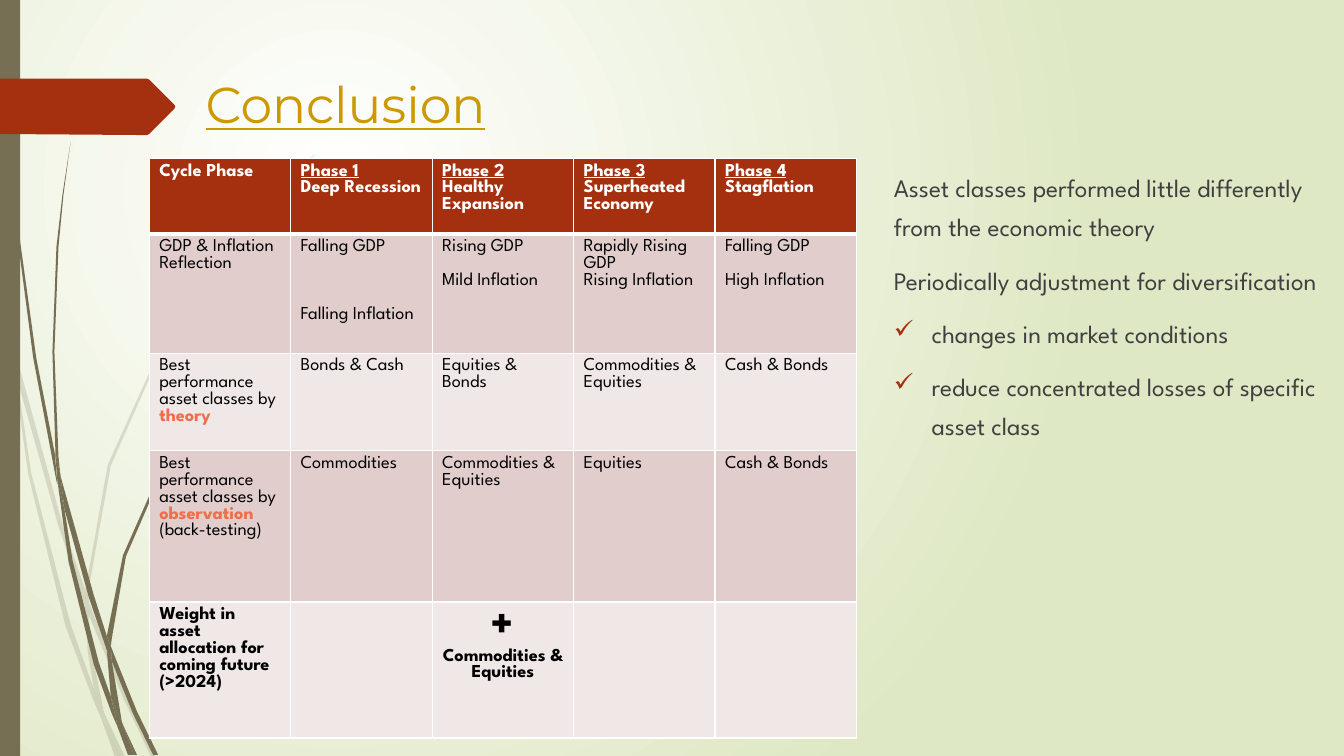
from lxml import etree
from pptx import Presentation
from pptx.dml.color import RGBColor
from pptx.enum.shapes import MSO_SHAPE as SHAPE
from pptx.enum.text import MSO_AUTO_SIZE as FIT, PP_ALIGN as ALIGN
from pptx.oxml.ns import qn
from pptx.util import Cm, Pt

HUNDREDTH_INCH = Cm(2.54) / 100
BROWN, RUST, WHITE, BLACK = "766F54", "A53010", "FFFFFF", "000000"
BODY_FONT = "League Spartan"

PALE_STEMS = """
11,350 9,322 0,282 0,299 10,344
58,522 84,599 85,586 62,520 14,345 17,376
92,607 88,596 88,610 123,694 150,751 155,751 127,692
119,751 124,751 105,711
93,683 70,619 31,469 17,376 11,350 28,470 65,621 92,693 101,714 99,707
84,599 87,646 93,683 96,692 105,711 103,706 91,646 88,610 88,608
88,584 110,462 160,349 229,245 268,198 290,175 312,154 312,153 289,175 268,197 228,244 158,348 107,461 85,584 85,586 88,596
101,714 114,751 119,751
88,608 88,610 88,596 85,586 84,599
96,692 93,683 99,707 101,714 119,751 105,711
"""
DARK_STEMS = """
7,110 17,233 33,355 56,477 57,481 55,457 55,453 36,355 19,232 8,109 5,48 4,0 3,0 4,48
88,592 106,645 106,633 106,631 93,590 60,472 64,505
113,649 110,641 111,656 132,708 152,749 157,749 136,706
110,691 98,657 72,556 64,505 57,477 68,557 93,659 111,708 117,722 116,717
60,472 58,453 54,349 58,245 63,193 70,141 62,193 56,245 52,349 55,449
133,749 136,749 122,719
57,477 64,505 60,472 55,449 55,453
111,633 125,552 158,476 205,406 231,374 245,359 261,344 260,344 245,358 231,373 204,405 156,474 122,551 106,631 110,641
117,722 127,749 131,749
106,645 110,691 116,706 122,719 121,716 111,656 109,651
106,645 109,651 111,656 110,641 106,631 106,633
116,706 110,691 116,717 117,722 130,749 133,749 122,719
"""
TAB_OUTLINE = "0,78 136,78 146,78 148,79 173,104 174,106 173,108 148,133 146,134 136,134 0,133"

ROWS = [
    ["Cycle Phase", "Phase 1\nDeep Recession", "Phase 2\nHealthy Expansion",
     "Phase 3\nSuperheated Economy", "Phase 4\nStagflation"],
    ["GDP & Inflation\nReflection", "Falling GDP\nFalling Inflation",
     "Rising GDP\nMild Inflation", "Rapidly Rising GDP\nRising Inflation",
     "Falling GDP\nHigh Inflation"],
    ["Best performance asset classes by |theory", "Bonds & Cash",
     "Equities & Bonds", "Commodities & Equities", "Cash & Bonds"],
    ["Best performance asset classes by |observation| (back-testing)",
     "Commodities", "Commodities & Equities", "Equities", "Cash & Bonds"],
    ["Weight in asset\nallocation for coming future (>2024)", "",
     "+| Commodities & Equities", "", ""],
]
ROW_HEIGHTS = [1.9, 3, 2.46, 3.81, 3.43]
ROW_FILLS = [RUST, "E1CDCC", "F0E8E7", "E1CDCC", "F0E8E7"]
INFLATION_GAPS = {1: 36, 2: 12, 4: 12}
REMARKS = [
    ("Asset classes performed little differently from the economic theory", False),
    ("Periodically adjustment for diversification", False),
    ("changes in market conditions", True),
    ("reduce concentrated losses of specific asset class", True),
]


def rgb(color):
    return RGBColor.from_string(color)


def style(r, size, color, font=BODY_FONT, bold=False, underline=False):
    f = r.font
    f.size, f.name, f.bold, f.underline = Pt(size), font, bold, underline
    f.color.rgb = rgb(color)


def paint(sp, color, opacity=100):
    sp.shadow.inherit = False
    sp.fill.solid()
    sp.fill.fore_color.rgb = rgb(color)
    sp.line.fill.background()
    if opacity < 100:
        clr = sp.element.spPr.find(qn("a:solidFill"))[0]
        etree.SubElement(clr, qn("a:alpha"), val=str(opacity * 1000))


def add_outline(shapes, left, top, outline, color, opacity=100):
    points = [tuple(map(int, pt.split(","))) for pt in outline.split()]
    fb = shapes.build_freeform(*points[0], scale=HUNDREDTH_INCH)
    fb.add_line_segments(points[1:], close=True)
    paint(fb.convert_to_shape(left, top), color, opacity)


def add_background(s):
    fill = s.background.fill
    fill.gradient()
    for stop, color in zip(fill.gradient_stops, (WHITE, "DFE8C4")):
        stop.color.rgb = rgb(color)
    grad = s.element.find(".//" + qn("a:gradFill"))
    grad.remove(grad.find(qn("a:lin")))
    circle = etree.SubElement(grad, qn("a:path"), path="circle")
    etree.SubElement(circle, qn("a:fillToRect"),
                     l="50000", t="50000", r="100000", b="100000")


def add_decoration(s, left, top, height):
    for stems, opacity in ((PALE_STEMS, 20), (DARK_STEMS, 100)):
        group = s.shapes.add_group_shape()
        for outline in stems.strip().splitlines():
            add_outline(group.shapes, left, top, outline, BROWN, opacity)
    paint(s.shapes.add_shape(SHAPE.RECTANGLE, left, top, Cm(0.51), height), BROWN)
    add_outline(s.shapes, left, top, TAB_OUTLINE, RUST)


def add_title(s, left, top, width, height):
    tf = s.shapes.add_textbox(left, top, width, height).text_frame
    tf.word_wrap = True
    tf.auto_size = FIT.SHAPE_TO_FIT_TEXT
    tf.text = "Conclusion"
    style(tf.paragraphs[0].runs[0], 36, "CC9900", "Montserrat", underline=True)


def set_borders(cell, top, bottom):
    tc_pr = cell._tc.get_or_add_tcPr()
    for i, (side, width) in enumerate(zip("LRTB", (1, 1, top, bottom))):
        ln = etree.Element(qn("a:ln" + side), w=str(Pt(width)))
        fill = etree.SubElement(ln, qn("a:solidFill"))
        etree.SubElement(fill, qn("a:srgbClr"), val=WHITE)
        tc_pr.insert(i, ln)


def fill_cell(cell, text, row, col):
    header, weight = row == 0, row == len(ROWS) - 1
    cell.fill.solid()
    cell.fill.fore_color.rgb = rgb(ROW_FILLS[row])
    set_borders(cell, 3 if row == 1 else 1, 3 if header else 1)
    tf = cell.text_frame
    for i, line in enumerate(text.split("\n")):
        p = tf.paragraphs[0] if i == 0 else tf.add_paragraph()
        if weight and col:
            p.alignment = ALIGN.CENTER
        if row == 1 and i == 1:
            p.space_before = Pt(INFLATION_GAPS.get(col, 0))
        for j, part in enumerate(line.split("|")):
            accent = j == 1 and not weight
            color = WHITE if header else "EE6E4B" if accent else BLACK
            r = p.add_run()
            r.text = part
            style(r, 32 if part == "+" else 13, color,
                  bold=header or weight or accent,
                  underline=header and col > 0 and i == 0)


def add_phase_table(s, left, top, width, height):
    table = s.shapes.add_table(len(ROWS), len(ROWS[0]), left, top, width, height).table
    for row, (texts, row_height) in enumerate(zip(ROWS, ROW_HEIGHTS)):
        table.rows[row].height = Cm(row_height)
        for col, text in enumerate(texts):
            fill_cell(table.cell(row, col), text, row, col)


def add_remarks(s, left, top, width, height):
    tf = s.shapes.add_textbox(left, top, width, height).text_frame
    tf.word_wrap = True
    for i, (text, checked) in enumerate(REMARKS):
        p = tf.paragraphs[0] if i == 0 else tf.add_paragraph()
        p.text = text
        p.space_before = Pt(10)
        p.line_spacing = 1.3
        style(p.runs[0], 18, "404040")
        if checked:
            p_pr = p._p.get_or_add_pPr()
            p_pr.set("marL", str(Cm(0.95)))
            p_pr.set("indent", str(-Cm(0.95)))
            clr = etree.SubElement(p_pr, qn("a:buClr"))
            etree.SubElement(clr, qn("a:srgbClr"), val=RUST)
            etree.SubElement(p_pr, qn("a:buChar"), char="✓")


def main():
    prs = Presentation()
    prs.slide_width, prs.slide_height = Cm(33.87), Cm(19.05)
    s = prs.slides.add_slide(prs.slide_layouts[6])
    add_background(s)
    add_decoration(s, Cm(0), Cm(0), prs.slide_height)
    add_title(s, Cm(4.93), Cm(1.73), Cm(25.02), Cm(1.8))
    add_phase_table(s, Cm(3.76), Cm(3.99), Cm(17.83), Cm(sum(ROW_HEIGHTS)))
    add_remarks(s, Cm(22.28), Cm(3.99), Cm(11.25), Cm(15.49))
    prs.save("out.pptx")


if __name__ == "__main__":
    main()
